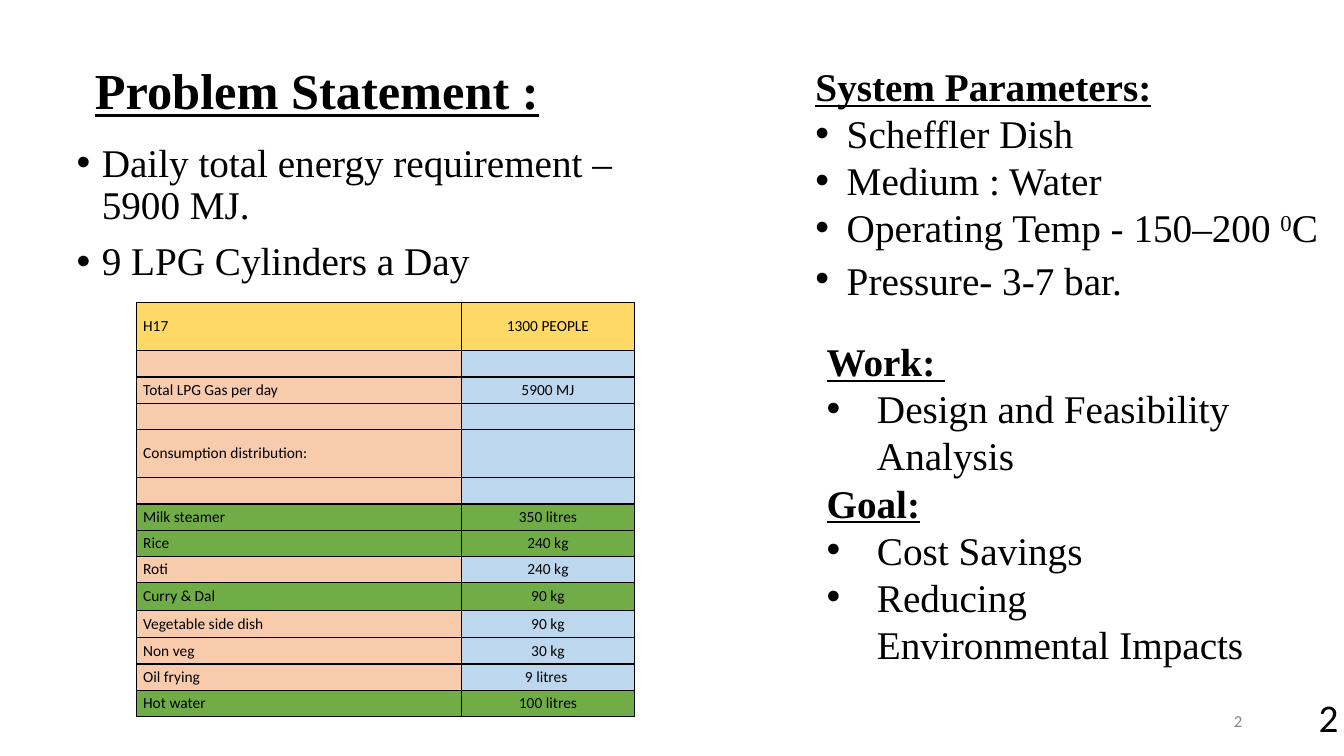
from dataclasses import dataclass

import pptx
import pptx.dml.color
import pptx.enum.text
import pptx.oxml.ns
import pptx.util
from lxml import etree
from pptx.util import Inches

COLORS = {
    "text": "000000",
    "number": "888888",
    "header": "FFD966",
    "label": "F8CBAD",
    "value": "BDD7EE",
    "highlight": "70AD47",
}
SERIF, SANS = "Times New Roman", "Calibri"
ALIGN = pptx.enum.text.PP_ALIGN
ANCHOR = pptx.enum.text.MSO_ANCHOR
qn = pptx.oxml.ns.qn


@dataclass
class Span:
    text: str
    size: float = 28
    superscript: bool = False


@dataclass
class Line:
    spans: list[Span]
    heading: bool = False


@dataclass
class TextBlock:
    left: float
    top: float
    width: float
    height: float
    lines: list[Line]
    hang: float = 0


@dataclass
class PageNumber:
    left: float
    top: float
    width: float
    height: float
    size: float
    color: str
    align: ALIGN
    anchor: ANCHOR
    inset: float


@dataclass
class Row:
    label: str = ""
    value: str = ""
    height: float = 0.26
    fills: tuple[str, str] = ("label", "value")


def heading(text: str) -> Line:
    return Line([Span(text)], heading=True)


def item(*spans: str | Span) -> Line:
    return Line([Span(s) if isinstance(s, str) else s for s in spans])


HEADER = ("header", "header")
HIGHLIGHT = ("highlight", "highlight")

BODY = TextBlock(0.66, 1.37, 6.31, 4.76, [
    item("Daily total energy requirement – 5900 MJ."),
    item("9 LPG Cylinders a Day"),
], hang=0.25)
SIDE_BLOCKS = [
    TextBlock(7.99, 0.57, 5.6, 2.73, [
        heading("System Parameters:"),
        item("Scheffler Dish"),
        item("Medium : Water"),
        item("Operating Temp - 150–200 ", Span("0", superscript=True), "C"),
        item("Pressure- 3-7 bar.", Span(" ", size=32)),
    ], hang=0.31),
    TextBlock(8.1, 3.3, 4.44, 2.89, [
        heading("Work: "),
        item("Design and Feasibility Analysis"),
        heading("Goal:"),
        item("Cost Savings"),
        item("Reducing Environmental Impacts"),
    ], hang=0.5),
]
ROWS = [
    Row("H17", "1300 PEOPLE", 0.48, HEADER),
    Row(),
    Row("Total LPG Gas per day", "5900 MJ"),
    Row(),
    Row("Consumption distribution:", height=0.48),
    Row(),
    Row("Milk steamer", "350 litres", fills=HIGHLIGHT),
    Row("Rice", "240 kg", fills=HIGHLIGHT),
    Row("Roti", "240 kg"),
    Row("Curry & Dal", "90 kg", 0.28, HIGHLIGHT),
    Row("Vegetable side dish", "90 kg", 0.27),
    Row("Non veg", "30 kg"),
    Row("Oil frying", "9 litres "),
    Row("Hot water", "100 litres", fills=HIGHLIGHT),
]
PAGE_NUMBERS = [
    PageNumber(9.42, 6.95, 3, 0.4, 12, "number", ALIGN.RIGHT, ANCHOR.MIDDLE, 0.05),
    PageNumber(12.98, 6.78, 0.31, 0.32, 28, "text", ALIGN.LEFT, ANCHOR.TOP, 0.1),
]


def rgb(name: str) -> pptx.dml.color.RGBColor:
    return pptx.dml.color.RGBColor.from_string(COLORS[name])


def style_font(font, face: str, size: float, color: str = "text") -> None:
    font.name = face
    font.size = pptx.util.Pt(size)
    font.color.rgb = rgb(color)


def place(sp, box) -> None:
    sp.left, sp.top = Inches(box.left), Inches(box.top)
    sp.width, sp.height = Inches(box.width), Inches(box.height)


def add_bullet(p, hang: float) -> None:
    pPr = p._p.get_or_add_pPr()
    pPr.set("marL", str(Inches(hang)))
    pPr.set("indent", str(-Inches(hang)))
    color = etree.SubElement(pPr, qn("a:buClr"))
    etree.SubElement(color, qn("a:srgbClr"), val=COLORS["text"])
    etree.SubElement(pPr, qn("a:buFont"), typeface="Arial")
    etree.SubElement(pPr, qn("a:buChar"), char="•")


def fill_lines(tf, block: TextBlock) -> None:
    tf.word_wrap = True
    tf.auto_size = pptx.enum.text.MSO_AUTO_SIZE.NONE
    for i, line in enumerate(block.lines):
        p = tf.add_paragraph() if i else tf.paragraphs[0]
        if not line.heading:
            add_bullet(p, block.hang)
        for span in line.spans:
            r = p.add_run()
            r.text = span.text
            style_font(r.font, SERIF, span.size)
            r.font.bold = r.font.underline = line.heading
            if span.superscript:
                r._r.get_or_add_rPr().set("baseline", "30000")


def add_title(s) -> None:
    sp = s.shapes.title
    sp.left, sp.top = Inches(0.84), Inches(0.2)
    sp.width, sp.height = Inches(11.5), Inches(1.45)
    tf = sp.text_frame
    tf.text = "Problem Statement :"
    tf.auto_size = pptx.enum.text.MSO_AUTO_SIZE.NONE
    tf.vertical_anchor = ANCHOR.MIDDLE
    p = tf.paragraphs[0]
    p.alignment, p.line_spacing = ALIGN.LEFT, 0.9
    font = p.runs[0].font
    style_font(font, SERIF, 36)
    font.bold = font.underline = True


def add_body(s) -> None:
    sp = s.placeholders[1]
    place(sp, BODY)
    fill_lines(sp.text_frame, BODY)
    for i, p in enumerate(sp.text_frame.paragraphs):
        p.line_spacing = 0.9
        p.space_before = pptx.util.Pt(10 if i else 0)


def add_borders(cell) -> None:
    """Draw a thin black line on every side; borders must precede the fill."""
    tcPr = cell._tc.get_or_add_tcPr()
    for side in ("a:lnL", "a:lnR", "a:lnT", "a:lnB"):
        ln = etree.SubElement(tcPr, qn(side), w=str(pptx.util.Pt(1)))
        solid = etree.SubElement(ln, qn("a:solidFill"))
        etree.SubElement(solid, qn("a:srgbClr"), val=COLORS["text"])


def format_cell(cell, text: str, fill: str, align: ALIGN) -> None:
    add_borders(cell)
    cell.fill.solid()
    cell.fill.fore_color.rgb = rgb(fill)
    cell.margin_left = cell.margin_right = Inches(0.07)
    cell.margin_top = cell.margin_bottom = 0
    cell.vertical_anchor = ANCHOR.MIDDLE
    cell.text_frame.text = text
    p = cell.text_frame.paragraphs[0]
    p.alignment = align
    for r in p.runs:
        style_font(r.font, SANS, 11)
    if not text:
        etree.SubElement(p._p, qn("a:endParaRPr"), sz="1100")


def add_consumption_table(s) -> None:
    height = sum(row.height for row in ROWS)
    table = s.shapes.add_table(len(ROWS), 2, Inches(1.35), Inches(3),
                               Inches(4.94), Inches(height)).table
    table.first_row = table.horz_banding = False
    table.columns[0].width, table.columns[1].width = Inches(3.23), Inches(1.71)
    for i, row in enumerate(ROWS):
        table.rows[i].height = Inches(row.height)
        format_cell(table.cell(i, 0), row.label, row.fills[0], ALIGN.LEFT)
        format_cell(table.cell(i, 1), row.value, row.fills[1], ALIGN.CENTER)


def add_page_number(s, number: PageNumber) -> None:
    sp = s.shapes.add_textbox(0, 0, 0, 0)
    place(sp, number)
    tf = sp.text_frame
    tf.word_wrap = True
    tf.text = "2"
    tf.vertical_anchor = number.anchor
    tf.margin_top = tf.margin_bottom = Inches(number.inset)
    p = tf.paragraphs[0]
    p.alignment = number.align
    style_font(p.runs[0].font, SANS, number.size, number.color)


def main() -> None:
    prs = pptx.Presentation()
    prs.slide_width, prs.slide_height = Inches(13.33), Inches(7.5)
    s = prs.slides.add_slide(prs.slide_layouts[1])
    add_title(s)
    add_body(s)
    add_consumption_table(s)
    for block in SIDE_BLOCKS:
        sp = s.shapes.add_textbox(0, 0, 0, 0)
        place(sp, block)
        fill_lines(sp.text_frame, block)
    for number in PAGE_NUMBERS:
        add_page_number(s, number)
    prs.save("out.pptx")


if __name__ == "__main__":
    main()
